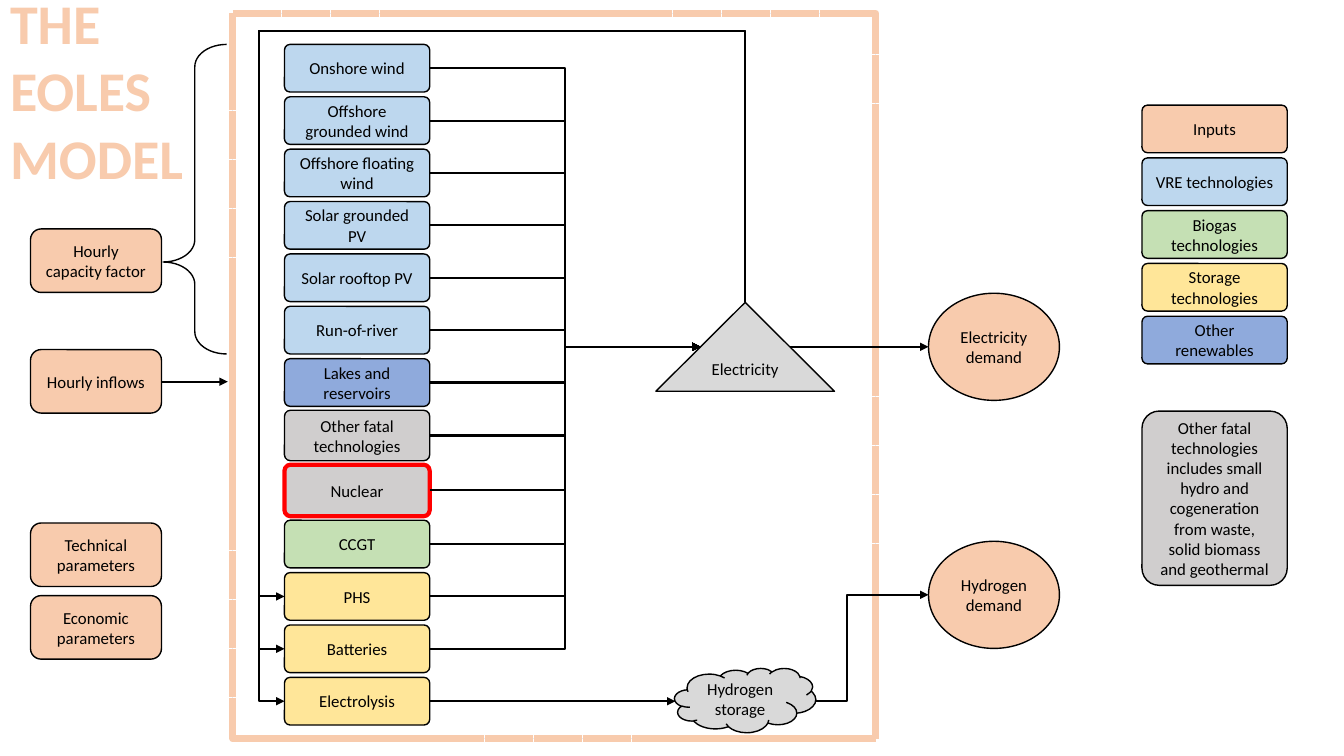
"""Builds the slide that shows the structure of the EOLES model."""
from dataclasses import dataclass

from pptx import Presentation
from pptx.dml.color import RGBColor
from pptx.enum.dml import MSO_LINE
from pptx.enum.shapes import MSO_CONNECTOR as Link, MSO_SHAPE as Form
from pptx.enum.text import MSO_ANCHOR as Anchor, MSO_AUTO_SIZE as AutoSize, PP_ALIGN as Align
from pptx.oxml.ns import qn
from pptx.oxml.xmlchemy import OxmlElement
from pptx.util import Cm, Pt


@dataclass(frozen=True)
class Theme:
    font: str = "Calibri"
    title_size: float = 40
    body_size: float = 12
    outline: float = 1
    flow: float = 1.5
    ink: str = "000000"
    alert: str = "FF0000"
    frame: str = "4472C4"
    inputs: str = "F8CBAD"
    vre: str = "BDD7EE"
    biogas: str = "C5E0B4"
    storage: str = "FFE699"
    renewable: str = "8FAADC"
    other: str = "D0CECE"
    hub: str = "D9D9D9"


THEME = Theme()
BOX_WIDTH, BOX_HEIGHT, BOX_CORNER = 3.66, 1.2, 0.118
TECH_LEFT, TECH_PITCH = 7.17, 1.32
TECH_RIGHT = TECH_LEFT + BOX_WIDTH
INPUT_LEFT, INPUT_WIDTH, INPUT_HEIGHT = 0.77, 3.3, 1.6
LEGEND_LEFT, LEGEND_TOP, LEGEND_PITCH = 28.78, 2.65, 1.33
DEMAND_LEFT, DEMAND_WIDTH, DEMAND_HEIGHT = 23.4, 3.3, 2.7
HUB_LEFT, HUB_TOP, HUB_WIDTH, HUB_HEIGHT = 16.53, 7.62, 4.5, 2.24
HUB_MIDDLE = HUB_TOP + HUB_HEIGHT / 2
FEEDBACK_RISE, FEEDBACK_MARGIN = 6.84, 0.64

UPPER_TECHS = [
    ("Onshore wind", THEME.vre),
    ("Offshore grounded wind", THEME.vre),
    ("Offshore floating wind", THEME.vre),
    ("Solar grounded PV", THEME.vre),
    ("Solar rooftop PV", THEME.vre),
    ("Run-of-river", THEME.vre),
    ("Lakes and reservoirs", THEME.renewable),
]
LOWER_TECHS = [
    ("CCGT", THEME.biogas),
    ("PHS", THEME.storage),
    ("Batteries", THEME.storage),
    ("Electrolysis", THEME.storage),
]
TECHS = [
    *[(name, fill, 1.12 + TECH_PITCH * row, BOX_HEIGHT) for row, (name, fill) in enumerate(UPPER_TECHS)],
    ("Other fatal technologies", THEME.other, 10.34, 1.27),
    ("Nuclear", THEME.other, 11.71, 1.3),
    *[(name, fill, 13.11 + TECH_PITCH * row, BOX_HEIGHT) for row, (name, fill) in enumerate(LOWER_TECHS)],
]
STORES = {"PHS", "Batteries", "Electrolysis"}
INPUTS = [
    ("Hourly capacity factor", 5.77),
    ("Hourly inflows", 8.81),
    ("Technical parameters", 13.18),
    ("Economic parameters", 15.01),
]
LEGEND = [
    ("Inputs", THEME.inputs),
    ("VRE technologies", THEME.vre),
    ("Biogas technologies", THEME.biogas),
    ("Storage technologies", THEME.storage),
    ("Other renewables", THEME.renewable),
]
NOTE = ("Other fatal technologies includes small hydro and cogeneration "
        "from waste, solid biomass and geothermal")


def rgb(value):
    """Turn a hex string into a colour."""
    return RGBColor.from_string(value)


def write(frame, lines, size, color, align, bold=False):
    """Fill a text frame with one paragraph per line."""
    frame.text = "\n".join(lines)
    for para in frame.paragraphs:
        para.alignment = align
        para.font.name = THEME.font
        para.font.size = Pt(size)
        para.font.bold = bold
        para.font.color.rgb = rgb(color)


def add_form(page, form, area, fill=None, lines=(), adjust=(), line=THEME.ink, weight=THEME.outline):
    """Add a preset shape with centred text."""
    shape = page.shapes.add_shape(form, *map(Cm, area))
    shape.shadow.inherit = False
    for index, value in enumerate(adjust):
        shape.adjustments[index] = value
    if fill:
        shape.fill.solid()
        shape.fill.fore_color.rgb = rgb(fill)
    else:
        shape.fill.background()
    shape.line.color.rgb = rgb(line)
    shape.line.width = Pt(weight)
    if lines:
        write(shape.text_frame, lines, THEME.body_size, THEME.ink, Align.CENTER)
    return shape


def add_box(page, name, fill, left, top, height=BOX_HEIGHT, **style):
    """Add a rounded box of the standard width."""
    area = (left, top, BOX_WIDTH, height)
    return add_form(page, Form.ROUNDED_RECTANGLE, area, fill, [name], [BOX_CORNER], **style)


def add_arrow(page, start, end, link=Link.STRAIGHT, preset=None, bends=()):
    """Add a connector with an arrowhead and optional bend positions."""
    arrow = page.shapes.add_connector(link, *map(Cm, (*start, *end)))
    arrow.line.color.rgb = rgb(THEME.ink)
    arrow.line.width = Pt(THEME.flow)
    head = OxmlElement("a:tailEnd")
    head.set("type", "triangle")
    arrow.line._get_or_add_ln().append(head)
    properties = arrow.element.spPr
    properties.append(OxmlElement("a:effectLst"))
    geometry = properties.find(qn("a:prstGeom"))
    if preset:
        geometry.set("prst", preset)
    for number, bend in enumerate(bends, 1):
        guide = OxmlElement("a:gd")
        guide.set("name", f"adj{number}")
        guide.set("fmla", f"val {round(bend * 100000)}")
        geometry.find(qn("a:avLst")).append(guide)
    return arrow


def add_feedback(page, target):
    """Lead from the top of the electricity hub around to a storage box."""
    apex = HUB_LEFT + HUB_WIDTH / 2
    drop, span = target - HUB_TOP, apex - TECH_LEFT
    center, middle = (apex + TECH_LEFT) / 2, (target + HUB_TOP) / 2
    arrow = add_arrow(
        page, (center + drop / 2, middle + span / 2), (center - drop / 2, middle - span / 2),
        Link.ELBOW, "bentConnector4", (-FEEDBACK_RISE / drop, 1 + FEEDBACK_MARGIN / span))
    arrow.rotation = 270


def add_title(page):
    """Place and format the title."""
    title = page.shapes.title
    title.left, title.top, title.width, title.height = map(Cm, (0, -0.41, 4.93, 5.38))
    frame = title.text_frame
    write(frame, ["THE", "EOLES", "MODEL"], THEME.title_size, THEME.inputs, Align.LEFT, bold=True)
    frame.vertical_anchor = Anchor.TOP
    frame.word_wrap = False
    frame.auto_size = AutoSize.SHAPE_TO_FIT_TEXT


def add_inputs(page):
    """Add the model inputs and their links to the model frame."""
    for name, top in INPUTS:
        add_form(page, Form.ROUNDED_RECTANGLE, (INPUT_LEFT, top, INPUT_WIDTH, INPUT_HEIGHT), THEME.inputs, [name])
    add_form(page, Form.LEFT_BRACE, (4.11, 1.12, 1.6, 7.8), adjust=[0.352, 0.703])
    add_arrow(page, (4.09, 9.62), (5.74, 9.62))


def add_technologies(page):
    """Add the technology column with its flows to and from electricity."""
    for name, fill, top, height in TECHS:
        alert = {"line": THEME.alert, "weight": 3} if name == "Nuclear" else {}
        add_box(page, name, fill, TECH_LEFT, top, height, **alert)
        middle = top + height / 2
        if name == "Electrolysis":
            add_arrow(page, (TECH_RIGHT, middle), (17.02, middle))
        else:
            add_arrow(page, (TECH_RIGHT, middle), (HUB_LEFT + HUB_WIDTH / 4, HUB_MIDDLE), Link.ELBOW)
        if name in STORES:
            add_feedback(page, middle)


def add_demands(page):
    """Add the electricity hub, the hydrogen store and both demands."""
    add_form(page, Form.ISOSCELES_TRIANGLE, (HUB_LEFT, HUB_TOP, HUB_WIDTH, HUB_HEIGHT), THEME.hub, ["Electricity"])
    add_form(page, Form.CLOUD, (17, 16.84, 3.56, 1.62), THEME.hub, ["Hydrogen", "storage"])
    for name, top in (("Electricity", 7.39), ("Hydrogen", 13.64)):
        add_form(page, Form.OVAL, (DEMAND_LEFT, top, DEMAND_WIDTH, DEMAND_HEIGHT), THEME.inputs, [name, "demand"])
    add_arrow(page, (HUB_LEFT + HUB_WIDTH * 3 / 4, HUB_MIDDLE), (DEMAND_LEFT, HUB_MIDDLE))
    add_arrow(page, (20.55, 17.67), (DEMAND_LEFT, 14.99), Link.ELBOW, bends=[0.279])


def add_legend(page):
    """Add the colour legend and the note below it."""
    for row, (name, fill) in enumerate(LEGEND):
        add_box(page, name, fill, LEGEND_LEFT, LEGEND_TOP + LEGEND_PITCH * row)
    add_box(page, NOTE, THEME.other, LEGEND_LEFT, 10.36, 4.39)


def main():
    """Build and save the deck."""
    deck = Presentation()
    deck.slide_width, deck.slide_height = Cm(33.87), Cm(19.05)
    page = deck.slides.add_slide(deck.slide_layouts[5])
    add_title(page)
    border = add_form(page, Form.FRAME, (5.87, 0.33, 16.2, 18.29), THEME.frame,
                      adjust=[0], line=THEME.inputs, weight=5)
    border.line.dash_style = MSO_LINE.DASH
    add_inputs(page)
    add_demands(page)
    add_technologies(page)
    add_legend(page)
    deck.save("out.pptx")


if __name__ == "__main__":
    main()
